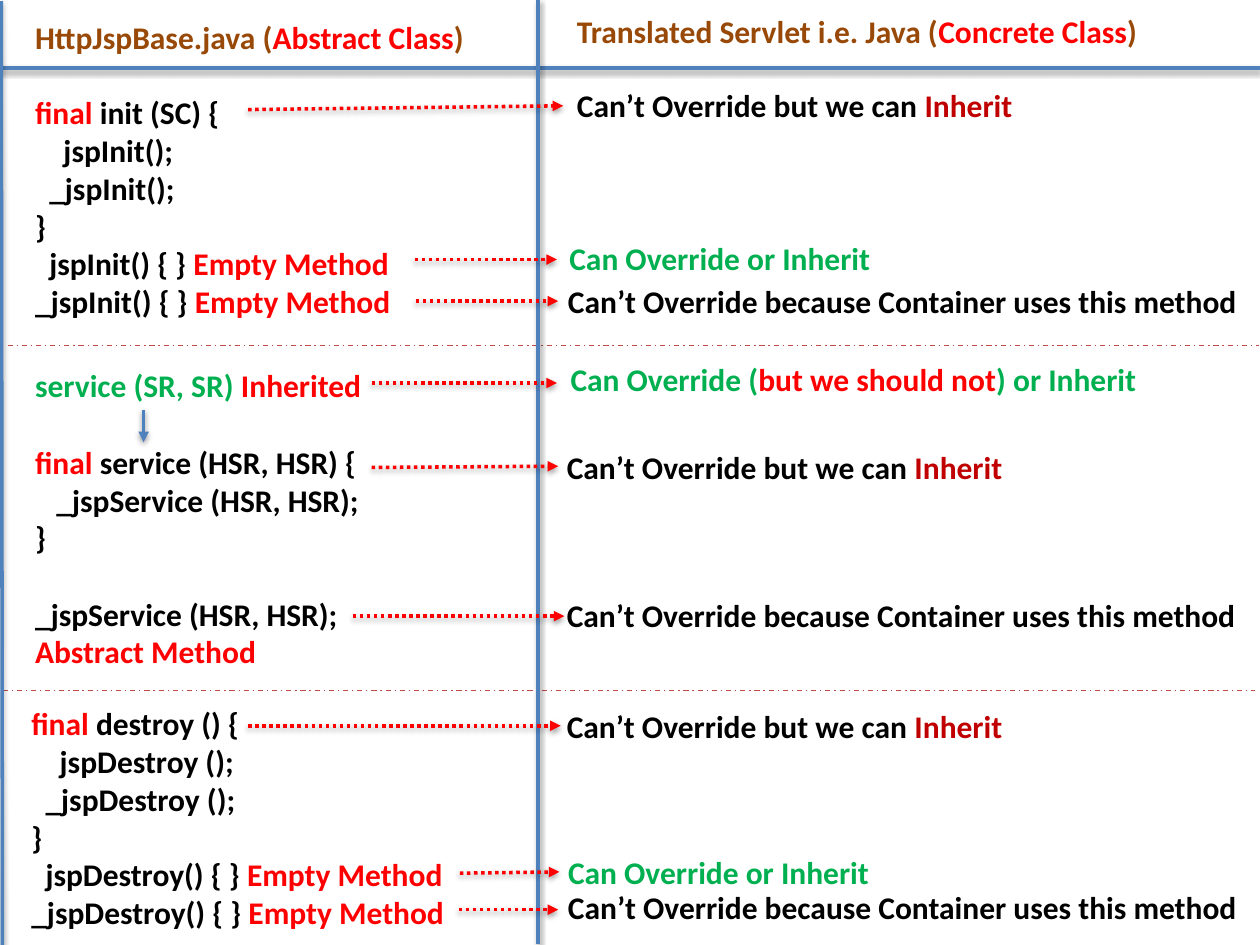
"""Build a slide showing which JSP life cycle methods a translated servlet may override."""
import pptx
import pptx.dml.color
import pptx.enum.dml
import pptx.enum.shapes
import pptx.enum.text
import pptx.oxml
import pptx.util
from pptx.util import Inches

BLACK, RED, DARK_RED = "000000", "FF0000", "C00000"
GREEN, BROWN, BLUE, RULE_RED = "00B050", "984807", "4F81BD", "BF4C48"
LINE_HEIGHT = 22

INHERIT = [("Can’t Override but we can ", BLACK), ("Inherit", DARK_RED)]
CONTAINER = [("Can’t Override because Container uses this method", BLACK)]
OVERRIDE = [("Can Override or Inherit", GREEN)]
DISCOURAGED = [("Can Override (", GREEN), ("but we should not", RED), (") or Inherit", GREEN)]

SERVICE = [
    [("service (SR, SR) ", GREEN), ("Inherited", RED)],
    [("final", RED), (" service (HSR, HSR) {", BLACK)],
    [("   _jspService (HSR, HSR);", BLACK)],
    [("}", BLACK)],
    [("_jspService (HSR, HSR);", BLACK)],
    [("Abstract Method", RED)],
]
AFTER_GAP = (1, 4)

NOTES = [
    (4.48, 0.63, 3.82, INHERIT),
    (4.41, 2.19, 5.56, CONTAINER),
    (4.42, 1.85, 2.61, OVERRIDE),
    (4.43, 2.81, 4.73, DISCOURAGED),
    (4.4, 3.51, 3.69, INHERIT),
    (4.4, 4.68, 5.56, CONTAINER),
    (4.4, 5.56, 3.69, INHERIT),
    (4.41, 7, 5.56, CONTAINER),
    (4.41, 6.72, 2.61, OVERRIDE),
]
ARROWS = [
    (1.97, 0.87, 4.47, 0.84),
    (3.29, 2.06, 4.42, 2.06),
    (3.3, 2.39, 4.43, 2.39),
    (2.95, 3.04, 4.42, 3.04),
    (2.95, 3.71, 4.43, 3.7),
    (2.8, 4.89, 4.48, 4.89),
    (1.97, 5.76, 4.45, 5.76),
    (3.65, 6.93, 4.44, 6.92),
    (3.64, 7.22, 4.43, 7.22),
]
FRAME = [(-0.01, 0.54, 10, 0.54), (0.01, 0.01, 0.02, 7.5), (4.27, 0, 4.27, 7.49)]
DIVIDERS = [(0.06, 2.74, 9.99, 2.74), (0.02, 5.48, 9.96, 5.48)]


def color(value):
    """Turn a hex string into a colour."""
    return pptx.dml.color.RGBColor.from_string(value)


def add_child(parent, tag):
    """Append an empty drawing element to the parent."""
    child = pptx.oxml.parse_xml(
        f'<a:{tag} xmlns:a="http://schemas.openxmlformats.org/drawingml/2006/main"/>')
    parent.append(child)
    return child


def add_line(page, ends, stroke, width=2, dash=None, arrow=False, shadow=True):
    """Draw a straight line, with an arrowhead at its end if asked."""
    line = page.shapes.add_connector(
        pptx.enum.shapes.MSO_CONNECTOR.STRAIGHT, *map(Inches, ends))
    line.line.color.rgb = color(stroke)
    line.line.width = pptx.util.Pt(width)
    if dash:
        line.line.dash_style = dash
    if arrow:
        add_child(line.line._get_or_add_ln(), "tailEnd").set("type", "triangle")
    if not shadow:
        add_child(line._element.spPr, "effectLst")


def add_text(page, left, top, width, height, lines, wrap=True, after_gap=()):
    """Add a box of bold lines, each a list of coloured spans."""
    box = page.shapes.add_textbox(*map(Inches, (left, top, width, height)))
    frame = box.text_frame
    frame.word_wrap = wrap
    frame.auto_size = pptx.enum.text.MSO_AUTO_SIZE.SHAPE_TO_FIT_TEXT
    for index, spans in enumerate(lines):
        para = frame.add_paragraph() if index else frame.paragraphs[0]
        if index in after_gap:
            para.space_before = pptx.util.Pt(LINE_HEIGHT)
        para.font.name = "Calibri"
        para.font.size = pptx.util.Pt(18)
        para.font.bold = True
        for text, fill in spans:
            span = para.add_run()
            span.text = text
            span.font.color.rgb = color(fill)


def heading(name, kind):
    """Return the one line of a column heading."""
    return [[(f"{name} (", BROWN), (kind, RED), (")", BROWN)]]


def life_cycle(signature, method, call):
    """Return the lines of a final method and the two empty methods it calls."""
    return [
        [("final", RED), (f" {signature} {{", BLACK)],
        [(f"    {call};", BLACK)],
        [(f"  _{call};", BLACK)],
        [("}", BLACK)],
        [(f"  {method}() {{ }} ", BLACK), ("Empty Method", RED)],
        [(f"_{method}() {{ }} ", BLACK), ("Empty Method", RED)],
    ]


def main():
    """Build and save the deck."""
    dashes = pptx.enum.dml.MSO_LINE
    deck = pptx.Presentation()
    deck.slide_width, deck.slide_height = Inches(10), Inches(7.5)
    page = deck.slides.add_slide(deck.slide_layouts[6])

    for ends in DIVIDERS:
        add_line(page, ends, RULE_RED, 0.75, dashes.DASH_DOT, shadow=False)
    for ends in FRAME:
        add_line(page, ends, BLUE)

    add_text(page, 4.48, 0.05, 5.47, 0.4,
             heading("Translated Servlet i.e. Java", "Concrete Class"))
    add_text(page, 0.18, 0.09, 3.88, 0.4, heading("HttpJspBase.java", "Abstract Class"))
    add_text(page, 0.18, 0.69, 3.21, 1.92, life_cycle("init (SC)", "jspInit", "jspInit()"))
    add_text(page, 0.18, 2.86, 3.12, 2.53, SERVICE, after_gap=AFTER_GAP)
    add_text(page, 0.15, 5.54, 3.65, 1.92,
             life_cycle("destroy ()", "jspDestroy", "jspDestroy ()"))

    for left, top, width, spans in NOTES:
        add_text(page, left, top, width, 0.4, [spans], wrap=False)
    for ends in ARROWS:
        add_line(page, ends, RED, dash=dashes.ROUND_DOT, arrow=True)
    add_line(page, (1.14, 3.25, 1.14, 3.51), BLUE, arrow=True)

    deck.save("out.pptx")


if __name__ == "__main__":
    main()
